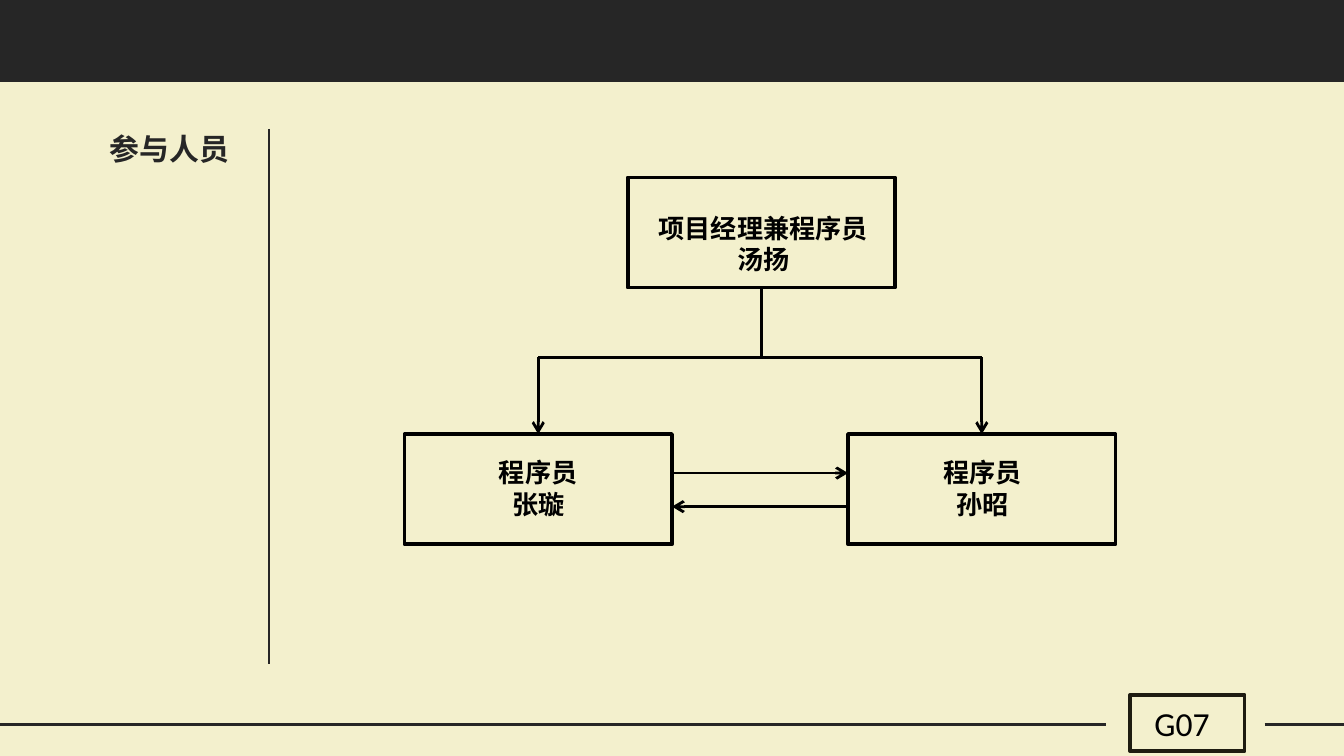
from typing import NamedTuple

from lxml import etree
from pptx import Presentation
from pptx.dml.color import RGBColor
from pptx.enum.shapes import MSO_CONNECTOR, MSO_SHAPE
from pptx.enum.text import MSO_ANCHOR, PP_ALIGN
from pptx.oxml.ns import qn
from pptx.util import Inches, Pt

RECTANGLE = MSO_SHAPE.RECTANGLE
STRAIGHT = MSO_CONNECTOR.STRAIGHT
TOP = MSO_ANCHOR.TOP
LEFT, CENTER = PP_ALIGN.LEFT, PP_ALIGN.CENTER

CREAM = RGBColor(0xF3, 0xF0, 0xCD)
CHARCOAL = RGBColor(0x26, 0x26, 0x26)
DARK_OLIVE = RGBColor(0x1E, 0x1C, 0x11)
BLACK = RGBColor(0, 0, 0)

CJK_FONT = "Noto Sans CJK SC"
TITLE_FORMAT = {"name": CJK_FONT, "size": Pt(16), "bold": True}
MEMBER_FORMAT = {"name": "Arial", "size": Pt(14), "bold": True}
GROUP_FORMAT = {"name": "Calibri", "size": Pt(18), "bold": False}

BOX_WIDTH, BOX_HEIGHT = 1.99, 0.82
BRANCH_Y = 2.66


class Area(NamedTuple):
    left: float
    top: float
    width: float
    height: float


class Member(NamedTuple):
    lines: list[str]
    left: float
    top: float
    text_area: Area


class Line(NamedTuple):
    start: tuple[float, float]
    end: tuple[float, float]
    color: RGBColor = BLACK
    width: float = 1.5
    arrow: bool = False


def lengths(area: Area) -> list[int]:
    return [Inches(value) for value in area]


def write_text(shape, lines: list[str], font_format: dict, color: RGBColor,
               alignment=CENTER) -> None:
    frame = shape.text_frame
    frame.word_wrap = True
    frame.vertical_anchor = TOP
    frame.text = "\n".join(lines)
    for paragraph in frame.paragraphs:
        paragraph.alignment = alignment
        for run in paragraph.runs:
            for name, value in font_format.items():
                setattr(run.font, name, value)
            run.font.color.rgb = color
            latin = run.font._element.find(qn("a:latin"))
            east_asian = etree.Element(qn("a:ea"), typeface=CJK_FONT)
            latin.addnext(east_asian)


def add_text(slide, area: Area, lines: list[str], font_format: dict,
             alignment=CENTER):
    box = slide.shapes.add_textbox(*lengths(area))
    write_text(box, lines, font_format, BLACK, alignment)
    return box


def add_frame(slide, area: Area, color: RGBColor):
    shape = slide.shapes.add_shape(RECTANGLE, *lengths(area))
    shape.shadow.inherit = False
    shape.fill.background()
    shape.line.color.rgb = color
    shape.line.width = Pt(2)
    return shape


def add_member(slide, member: Member):
    area = Area(member.left, member.top, BOX_WIDTH, BOX_HEIGHT)
    frame = add_frame(slide, area, BLACK)
    add_text(slide, member.text_area, member.lines, MEMBER_FORMAT)
    return frame


def add_line(slide, line: Line):
    points = [Inches(value) for value in (*line.start, *line.end)]
    connector = slide.shapes.add_connector(STRAIGHT, *points)
    connector.line.color.rgb = line.color
    connector.line.width = Pt(line.width)
    if line.arrow:
        outline = connector.line._get_or_add_ln()
        etree.SubElement(outline, qn("a:tailEnd"), type="arrow")
    etree.SubElement(connector._element.spPr, qn("a:effectLst"))
    return connector


def main() -> None:
    # Widescreen slide, 16 to 9
    presentation = Presentation()
    presentation.slide_width = Inches(10)
    presentation.slide_height = Inches(10) * 9 // 16
    slide = presentation.slides.add_slide(presentation.slide_layouts[5])
    slide.background.fill.solid()
    slide.background.fill.fore_color.rgb = CREAM

    # Header band and side title
    band = slide.shapes.add_shape(RECTANGLE, *lengths(Area(0, 0, 10, 0.61)))
    band.shadow.inherit = False
    band.fill.solid()
    band.fill.fore_color.rgb = CHARCOAL
    band.line.fill.background()

    title = slide.shapes.title
    title.left, title.top, title.width, title.height = lengths(
        Area(0.59, 0.92, 1.34, 0.37))
    write_text(title, ["参与人员"], TITLE_FORMAT, CHARCOAL)

    # Title divider and footer rules
    for rule in (
        Line((0, 5.39), (8.23, 5.39), CHARCOAL, 1.75),
        Line((9.41, 5.39), (10, 5.39), CHARCOAL, 1.75),
        Line((2, 0.96), (2, 4.94), CHARCOAL, 1.25),
    ):
        add_line(slide, rule)

    # Group number
    add_frame(slide, Area(8.41, 5.17, 0.85, 0.42), DARK_OLIVE)
    group_text = add_text(slide, Area(8.43, 5.18, 0.68, 0.4), ["G07"],
                          GROUP_FORMAT, LEFT)
    group_text.text_frame.margin_left = Inches(0.16)
    group_text.text_frame.margin_right = 0

    # Team members
    manager = add_member(slide, Member(
        ["项目经理兼程序员", "汤扬"], 4.67, 1.32, Area(4.67, 1.53, 2.02, 0.76)))
    programmers = [
        Member(["程序员", "张璇"], 3.01, 3.23, Area(3.11, 3.35, 1.79, 0.57)),
        Member(["程序员", "孙昭"], 6.31, 3.23, Area(6.8, 3.35, 1.02, 0.57)),
    ]

    # Manager's stem, branch and arrows down to the programmers
    stem = add_line(slide, Line((5.66, 2.14), (5.66, BRANCH_Y)))
    stem.begin_connect(manager, 2)
    stem.end_x = stem.begin_x
    centers = [member.left + BOX_WIDTH / 2 for member in programmers]
    add_line(slide, Line((centers[0], BRANCH_Y), (centers[1], BRANCH_Y)))
    for member, center in zip(programmers, centers):
        frame = add_member(slide, member)
        arrow = add_line(slide, Line((center, BRANCH_Y), (center, member.top),
                                     arrow=True))
        arrow.end_connect(frame, 0)

    # Exchange between the programmers
    inner_left = programmers[0].left + BOX_WIDTH
    inner_right = programmers[1].left
    add_line(slide, Line((inner_left, 3.52), (inner_right, 3.52), arrow=True))
    add_line(slide, Line((inner_right, 3.77), (inner_left, 3.77), arrow=True))

    presentation.save("out.pptx")


if __name__ == "__main__":
    main()
